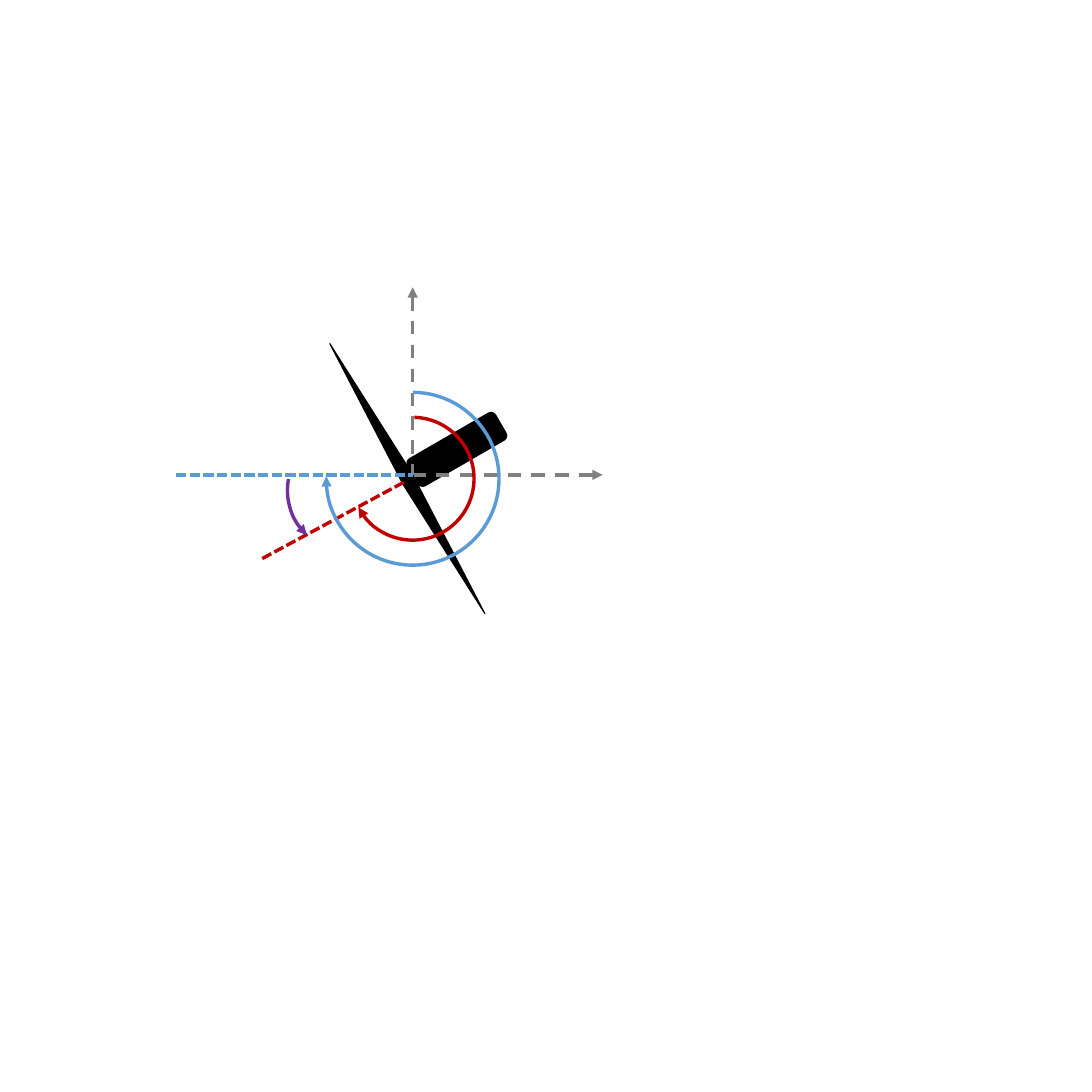
from pptx import Presentation
from pptx.dml.color import RGBColor
from pptx.enum import dml, shapes
from pptx.oxml import ns, xmlchemy
from pptx.util import Cm, Pt

COLORS = {"rotor": "000000", "axis": "808080", "heading": "C00000",
          "wind": "5B9BD5", "error": "7030A0"}
DASH = dml.MSO_LINE.DASH
SHORT_DASH = dml.MSO_LINE.SQUARE_DOT
SHAPE = shapes.MSO_SHAPE


def style_line(part, color, width=3, dash=None, arrow=None):
    """Style an outline; arrow is "headEnd" for its start or "tailEnd" for its end."""
    part.line.color.rgb = RGBColor.from_string(COLORS[color])
    part.line.width = Pt(width)
    if dash is not None:
        part.line.dash_style = dash
    if arrow:
        tip = xmlchemy.OxmlElement("a:" + arrow)
        tip.set("type", "triangle")
        part.element.spPr.find(ns.qn("a:ln")).append(tip)


def add_centred(group, kind, hub, offset, size, rotation=0):
    """Add a shape whose centre lies at an offset from the hub."""
    left, top = (h + o - s / 2 for h, o, s in zip(hub, offset, size))
    part = group.shapes.add_shape(kind, Cm(left), Cm(top), *map(Cm, size))
    part.shadow.inherit = False
    part.rotation = rotation
    return part


def add_solid(group, kind, hub, offset, size, rotation):
    part = add_centred(group, kind, hub, offset, size, rotation)
    part.fill.solid()
    part.fill.fore_color.rgb = RGBColor.from_string(COLORS["rotor"])
    style_line(part, "rotor", 1)
    return part


def add_ray(group, hub, start, end, color, dash, arrow=None):
    ends = [Cm(h + o) for point in (start, end) for h, o in zip(hub, point)]
    ray = group.shapes.add_connector(shapes.MSO_CONNECTOR.STRAIGHT, *ends)
    style_line(ray, color, 3, dash, arrow)
    ray.element.spPr.append(xmlchemy.OxmlElement("a:effectLst"))


def add_angle(group, hub, offset, diameter, start, end, color, rotation=0, flip=False):
    """Add an arc with an arrowhead, its angles in degrees."""
    arc = add_centred(group, SHAPE.ARC, hub, offset, (diameter, diameter), rotation)
    # Adjustments count in 100000ths, angles in 60000ths of a degree
    arc.adjustments[0], arc.adjustments[1] = start * 0.6, end * 0.6
    arc.fill.background()
    style_line(arc, color, arrow="tailEnd")
    if flip:
        arc.element.spPr.find(ns.qn("a:xfrm")).set("flipV", "1")


def draw_turbine(group, hub):
    add_solid(group, SHAPE.ROUNDED_RECTANGLE, hub, (1.37, -0.79), (3.15, 0.97), 330)
    for offset, rotation in (((1.04, 2.21), 150), ((-1.37, -1.98), 330)):
        blade = add_solid(group, SHAPE.ISOSCELES_TRIANGLE, hub, offset,
                          (0.41, 4.83), rotation)
        blade.adjustments[0] = 0.52


def draw_directions(group, hub):
    add_ray(group, hub, (0, -5.82), (0, 0), "axis", DASH, "headEnd")
    add_ray(group, hub, (5.89, 0), (0.05, 0), "axis", DASH, "headEnd")
    add_ray(group, hub, (-0.28, 0.23), (-4.75, 2.64), "heading", SHORT_DASH)
    add_ray(group, hub, (-7.34, 0), (0, 0), "wind", SHORT_DASH)


def draw_angles(group, hub):
    add_angle(group, hub, (0, 0.12), 3.81, 271.64, 152.18, "heading")
    add_angle(group, hub, (0, 0.12), 5.36, 270.38, 181.62, "wind")
    add_angle(group, hub, (-1.98, 0.48), 3.81, 94.66, 152.18, "error", 285.3, True)


def main():
    prs = Presentation()
    prs.slide_width = prs.slide_height = Cm(33.87)
    slide = prs.slides.add_slide(prs.slide_layouts[6])
    yaw_diagram = slide.shapes.add_group_shape()
    hub = (12.8, 14.73)
    draw_turbine(yaw_diagram, hub)
    draw_directions(yaw_diagram, hub)
    draw_angles(yaw_diagram, hub)
    prs.save("out.pptx")


if __name__ == "__main__":
    main()
